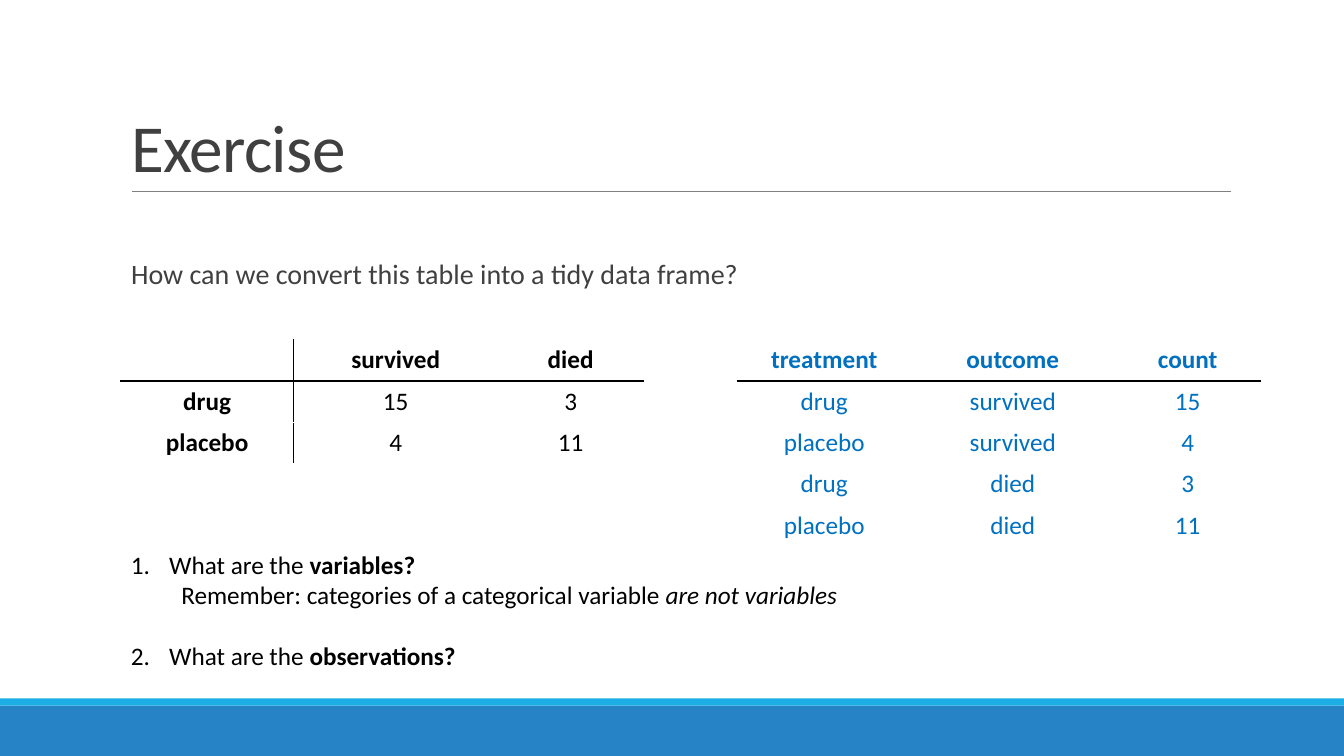
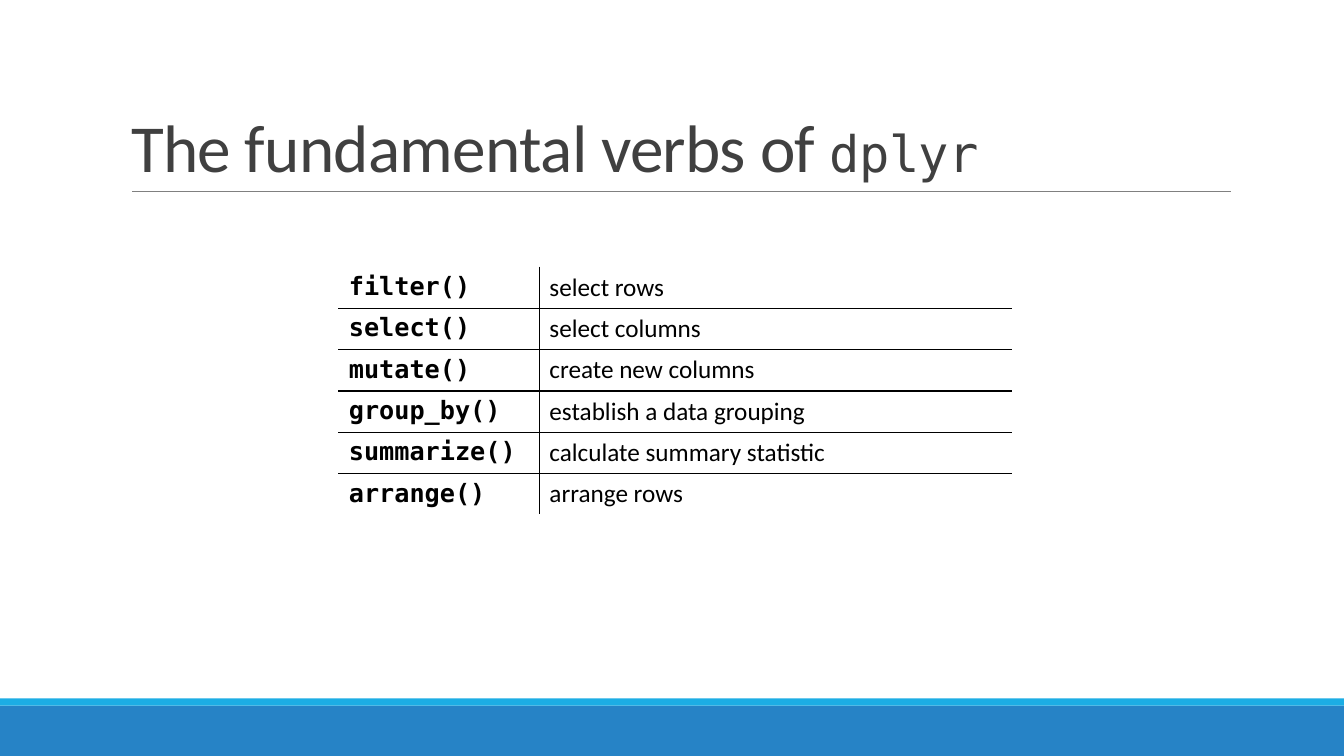
from lxml import etree
from pptx import Presentation
from pptx import util as u
from pptx.dml.color import RGBColor
from pptx.enum import shapes, text
from pptx.oxml import ns

SANS, MONO = "Calibri", "DejaVu Sans Mono"
BLACK, WHITE, GREY = "000000", "FFFFFF", "404040"
BLUE, BAND, STRIPE, RULE = "0070C0", "2683C6", "1CADE4", "808080"
ROW_HEIGHT = 0.41


def rgb(colour):
    return RGBColor.from_string(colour)


def box(*lengths):
    return [u.Inches(length) for length in lengths]


def child(parent, tag, **attributes):
    return etree.SubElement(parent, ns.qn(tag), attributes)


def place(target, left, top, width, height):
    target.left, target.top, target.width, target.height = box(left, top, width, height)


def write(paragraph, pieces, size, colour):
    for words, style in pieces:
        run = paragraph.add_run()
        run.text = words
        run.font.name = style.get("font", SANS)
        run.font.size = u.Pt(style.get("size", size))
        run.font.bold = style.get("bold", False)
        run.font.italic = style.get("italic", False)
        run.font.color.rgb = rgb(colour)


def add_band(slide, top, height, colour):
    band = slide.shapes.add_shape(shapes.MSO_SHAPE.RECTANGLE, *box(0, top, 13.33, height))
    band.fill.solid()
    band.fill.fore_color.rgb = rgb(colour)
    band.line.fill.background()
    band.shadow.inherit = False
    return band


def add_title_rule(slide):
    rule = slide.shapes.add_connector(shapes.MSO_CONNECTOR.STRAIGHT, *box(1.31, 1.9, 12.21, 1.9))
    rule.line.color.rgb = rgb(RULE)
    rule.line.width = u.Pt(0.5)
    child(rule.element.spPr, "a:effectLst")
    return rule


def decorate_master(prs, slide):
    decor = [
        add_band(slide, 7, 0.5, BAND),
        add_band(slide, 6.93, 0.07, STRIPE),
        add_title_rule(slide),
    ]
    tree = prs.slide_master.shapes.element
    for order, part in enumerate(decor):
        part.element.xpath(".//p:cNvPr")[0].set("id", str(100 + order))
        tree.insert(2 + order, part.element)


def set_title(slide, pieces):
    title = slide.shapes.title
    place(title, 1.2, 0.31, 11, 1.59)
    frame = title.text_frame
    frame.vertical_anchor = text.MSO_ANCHOR.BOTTOM
    frame.auto_size = text.MSO_AUTO_SIZE.NONE
    heading = frame.paragraphs[0]
    heading.alignment = text.PP_ALIGN.LEFT
    heading.line_spacing = 0.85
    write(heading, pieces, 48, GREY)
    for run in heading.runs:
        run.font._element.set("spc", "-50")


def indent(paragraph, left, first=0):
    properties = paragraph._p.get_or_add_pPr()
    properties.set("marL", str(u.Inches(left)))
    properties.set("indent", str(u.Inches(first)))
    return properties


def set_question(slide, words):
    body = slide.placeholders[1]
    place(body, 1.2, 2.02, 11, 4.4)
    frame = body.text_frame
    frame.auto_size = text.MSO_AUTO_SIZE.NONE
    frame.margin_left = frame.margin_right = 0
    frame.margin_top = u.Inches(0.56)
    question = frame.paragraphs[0]
    question.line_spacing = 0.9
    question.space_before = u.Pt(0)
    write(question, [(words, {})], 20, GREY)
    child(indent(question, 0.1), "a:buNone")


def add_steps(slide, steps):
    frame = slide.shapes.add_textbox(*box(1.2, 5.4, 7.55, 1.62)).text_frame
    frame.word_wrap = True
    for order, (level, gap, pieces) in enumerate(steps):
        step = frame.add_paragraph() if order else frame.paragraphs[0]
        step.level = level
        step.space_before = u.Pt(gap)
        write(step, pieces, 18, BLACK)
        if level:
            indent(step, 0.5)
        else:
            child(indent(step, 0.38, -0.38), "a:buFont", typeface="+mj-lt")
            child(step._p.pPr, "a:buAutoNum", type="arabicPeriod")


def set_borders(cell, ruled_sides):
    properties = cell._tc.get_or_add_tcPr()
    for side in "LRTB":
        line = child(properties, f"a:ln{side}", w=str(u.Pt(1)))
        fill = child(line, "a:solidFill")
        child(fill, "a:srgbClr", val=BLACK if side in ruled_sides else WHITE)


def add_grid(slide, left, top, widths, rows, style_of, colour=BLACK,
             align=text.PP_ALIGN.CENTER, rules_below=(), rules_right=()):
    frame = slide.shapes.add_table(
        len(rows), len(widths), *box(left, top, sum(widths), ROW_HEIGHT * len(rows)))
    grid = frame.table
    grid.first_row = grid.horz_banding = False
    for column, width in zip(grid.columns, widths):
        column.width = u.Inches(width)
    for r, row in enumerate(rows):
        grid.rows[r].height = u.Inches(ROW_HEIGHT)
        for c, words in enumerate(row):
            cell = grid.cell(r, c)
            ruled = {"L": c - 1 in rules_right, "R": c in rules_right,
                     "T": r - 1 in rules_below, "B": r in rules_below}
            set_borders(cell, [side for side, on in ruled.items() if on])
            cell.fill.background()
            entry = cell.text_frame.paragraphs[0]
            entry.alignment = align
            if words:
                write(entry, [(words, style_of(r, c))], 18, colour)


def build_exercise(slide):
    set_title(slide, [("Exercise", {})])
    set_question(slide, "How can we convert this table into a tidy data frame?")
    widths = [1.71, 2.03, 1.44]
    add_grid(slide, 1.2, 3.37, widths, [
        ("", "survived", "died"),
        ("drug", "15", "3"),
        ("placebo", "4", "11"),
    ], lambda r, c: {"bold": r == 0 or c == 0}, rules_below=[0], rules_right=[0])
    add_steps(slide, [
        (0, 0, [("What are the ", {}), ("variables?", {"bold": True})]),
        (1, 0, [("Remember: categories of a categorical variable ", {}),
                ("are not variables", {"italic": True})]),
        (0, 22, [("What are the ", {}), ("observations?", {"bold": True})]),
    ])
    add_grid(slide, 7.32, 3.37, widths, [
        ("treatment", "outcome", "count"),
        ("drug", "survived", "15"),
        ("placebo", "survived", "4"),
        ("drug", "died", "3"),
        ("placebo", "died", "11"),
    ], lambda r, c: {"bold": r == 0}, colour=BLUE, rules_below=[0])


def build_verbs(slide):
    set_title(slide, [("The fundamental verbs of ", {}), ("dplyr", {"font": MONO, "size": 36})])
    verbs = [
        ("filter()", "select rows"),
        ("select()", "select columns"),
        ("mutate()", "create new columns"),
        ("group_by()", "establish a data grouping"),
        ("summarize()", "calculate summary statistic"),
        ("arrange()", "arrange rows"),
    ]
    add_grid(slide, 3.36, 2.65, [1.99, 4.68], verbs,
             lambda r, c: {} if c else {"font": MONO, "bold": True},
             align=text.PP_ALIGN.LEFT,
             rules_below=range(len(verbs) - 1), rules_right=[0])


def main():
    prs = Presentation()
    prs.slide_width, prs.slide_height = box(13.33, 7.5)
    exercise = prs.slides.add_slide(prs.slide_layouts[1])
    decorate_master(prs, exercise)
    build_exercise(exercise)
    build_verbs(prs.slides.add_slide(prs.slide_layouts[5]))
    prs.save("out.pptx")


if __name__ == "__main__":
    main()
